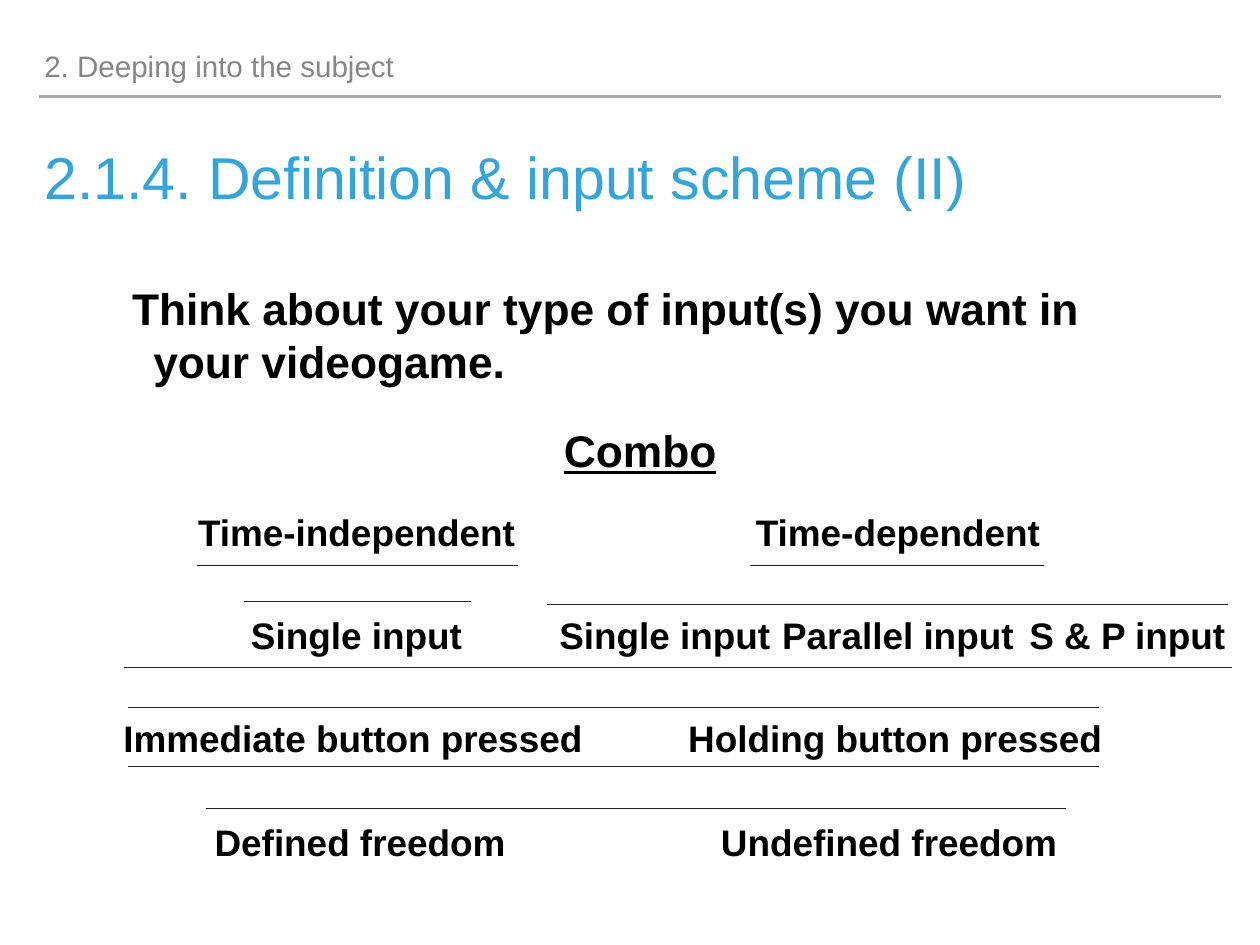
from lxml.etree import SubElement
from pptx import Presentation
from pptx.dml.color import RGBColor
from pptx.enum.shapes import MSO_CONNECTOR as Connector
from pptx.enum.text import MSO_ANCHOR as Anchor, MSO_AUTO_SIZE as AutoSize, PP_ALIGN as Align
from pptx.oxml.ns import qn
from pptx.util import Pt

EMU_PER_PX = 9144
SLIDE_SIZE = (1422, 1067)
HEADER_BOX = (44, 50, 1334, 59)
TITLE_BOX = (44, 168, 1333, 191)
PROMPT_BOX = (118, 311, 1148, 137)
TREE_BOX = (74, 462, 1341, 534)
LABEL_HEIGHT = 92
BLACK, GRAY, BLUE = "000000", "838787", "34A5DA"
RULE_GRAY, BRANCH_GRAY = "A6AAA9", "222222"

LABEL_ROWS = [
    (0, 36, 225, [("Combo", 636)]),
    (92, 30, 419, [("Time-independent", 316), ("Time-dependent", 927)]),
    (209, 30, 310, [("Single input", 316), ("Single input", 664),
                    ("Parallel input", 927), ("S & P input", 1186)]),
    (325, 30, 625, [("Immediate button pressed", 312), ("Holding button pressed", 924)]),
    (442, 30, 625, [("Defined freedom", 320), ("Undefined freedom", 917)]),
]
BRANCH_LINES = [
    (148, 511, 176), (772, 1104, 176), (201, 458, 217), (543, 1312, 220),
    (66, 1316, 292), (71, 1166, 337), (71, 1166, 403), (158, 1129, 451),
]


def px(length):
    """Turn px into EMU."""
    return int(length * EMU_PER_PX)


def color(hex_code):
    """Turn a hex string into a colour."""
    return RGBColor.from_string(hex_code)


def write_text(shape, box, text, size, hex_code, bold=False, anchor=Anchor.TOP,
               align=Align.LEFT, spacing=1.0, hanging=False):
    """Place a shape in its box and give it one formatted paragraph."""
    shape.left, shape.top, shape.width, shape.height = map(px, box)
    frame = shape.text_frame
    frame.text = text
    frame.word_wrap = True
    frame.auto_size = AutoSize.NONE
    frame.vertical_anchor = anchor
    frame.margin_left = frame.margin_right = frame.margin_top = frame.margin_bottom = px(6)
    paragraph = frame.paragraphs[0]
    paragraph.alignment = align
    paragraph.line_spacing = spacing
    paragraph.space_before = Pt(0)
    properties = paragraph._p.get_or_add_pPr()
    properties.set("marL", str(px(49 if hanging else 0)))
    properties.set("indent", str(px(-24 if hanging else 0)))
    SubElement(properties, qn("a:buNone"))
    font = paragraph.font
    font.name, font.size, font.bold = "Arial", Pt(size), bold
    font.color.rgb = color(hex_code)
    return paragraph


def add_rule(slide, start, end, y, hex_code, width):
    """Draw a horizontal line without shadow."""
    rule = slide.shapes.add_connector(Connector.STRAIGHT, px(start), px(y), px(end), px(y))
    rule.line.color.rgb = color(hex_code)
    rule.line.width = Pt(width)
    SubElement(rule._element.spPr, qn("a:effectLst"))


def add_header(slide, box):
    """Add the section name above its rule."""
    left, top, width, height = box
    add_rule(slide, left, left + width, top + height, RULE_GRAY, 2)
    shape = slide.shapes.add_textbox(0, 0, 0, 0)
    write_text(shape, (left, top, 1222, 50), "2. Deeping into the subject", 24, GRAY,
               anchor=Anchor.BOTTOM, spacing=0.8)


def add_input_tree(slide, box):
    """Add the rows of input types and the lines that group them."""
    left, top, _, _ = box
    for row_top, size, width, labels in LABEL_ROWS:
        for text, center in labels:
            shape = slide.shapes.add_textbox(0, 0, 0, 0)
            label_box = (left + center - width / 2, top + row_top, width, LABEL_HEIGHT)
            paragraph = write_text(shape, label_box, text, size, BLACK, bold=True,
                                   anchor=Anchor.MIDDLE, align=Align.CENTER, hanging=True)
            if text == "Combo":
                paragraph.font.underline = True
    for start, end, y in BRANCH_LINES:
        add_rule(slide, left + start, left + end, top + y, BRANCH_GRAY, 0.75)


def main():
    """Build and save the slide."""
    presentation = Presentation()
    presentation.slide_width, presentation.slide_height = map(px, SLIDE_SIZE)
    slide = presentation.slides.add_slide(presentation.slide_layouts[1])
    add_header(slide, HEADER_BOX)
    write_text(slide.shapes.title, TITLE_BOX, "2.1.4. Definition & input scheme (II)",
               48, BLUE, spacing=0.8)
    write_text(slide.placeholders[1], PROMPT_BOX,
               "Think about your type of input(s) you want in your videogame.",
               36, BLACK, bold=True, hanging=True)
    add_input_tree(slide, TREE_BOX)
    presentation.save("out.pptx")


if __name__ == "__main__":
    main()
